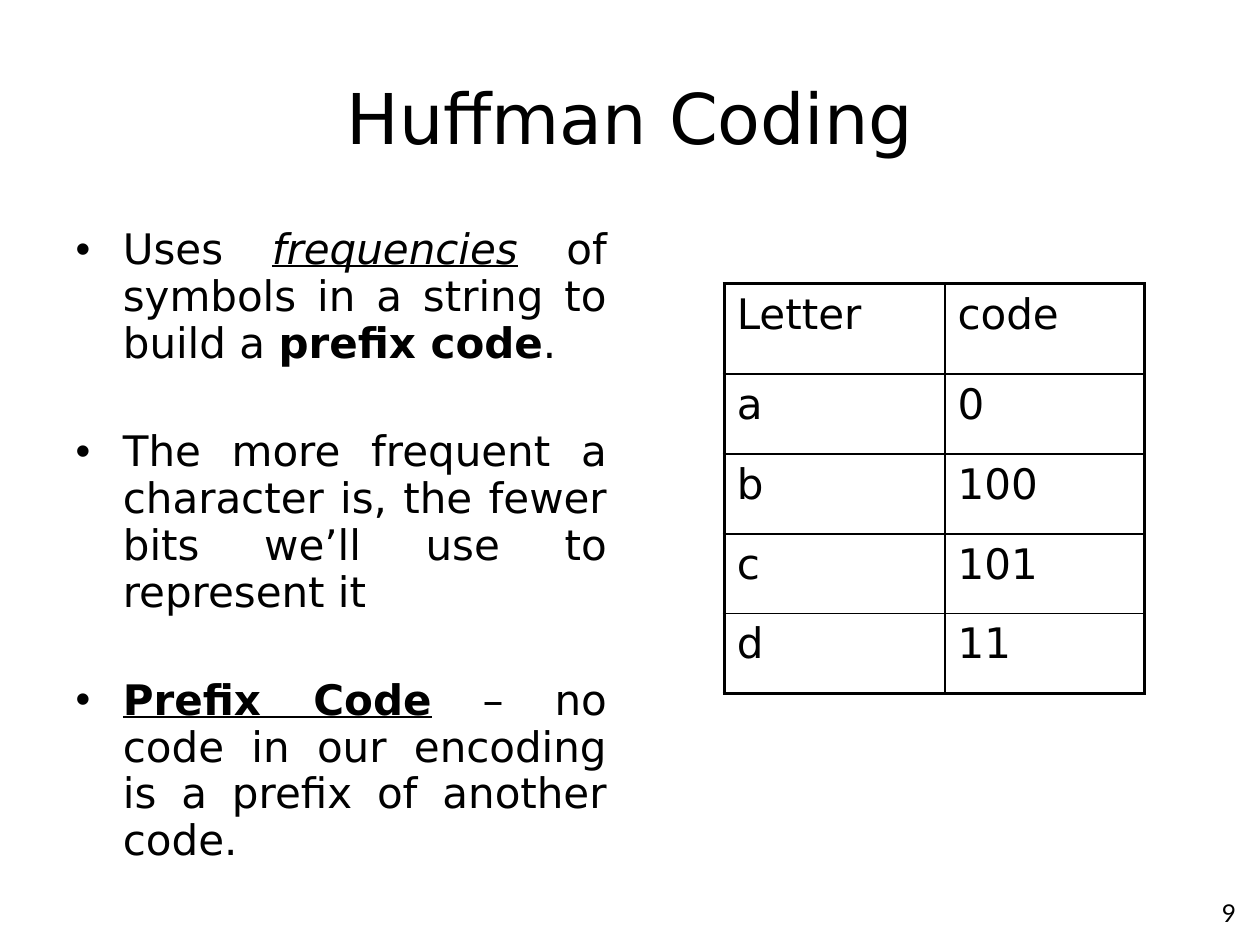
from lxml.etree import SubElement
from pptx import Presentation
from pptx.dml.color import RGBColor
from pptx.enum.text import MSO_ANCHOR, MSO_AUTO_SIZE, PP_ALIGN
from pptx.oxml.ns import qn
from pptx.util import Cm, Pt

BLACK = RGBColor(0, 0, 0)
WHITE = RGBColor(255, 255, 255)
MAIN_FONT = "DejaVu Sans"
NUMBER_FONT = "Lato"
THIN, THICK = Pt(1), Pt(2.25)

# Each point is a list of (text, character format) pieces
POINTS = [
    [("Uses ", {}), ("frequencies", {"italic": True, "underline": True}),
     (" of symbols in a string to build a ", {}),
     ("prefix code", {"bold": True}), (".", {})],
    [("The more frequent a character is, the fewer bits we’ll use to represent it", {})],
    [("Prefix Code", {"bold": True, "underline": True}),
     (" – no code in our encoding is a prefix of another code.", {})],
]
CODES = [("Letter", "code"), ("a", "0"), ("b", "100"), ("c", "101"), ("d", "11")]


def write_text(paragraph, text, size=24, font=MAIN_FONT, align=PP_ALIGN.JUSTIFY,
               bold=False, italic=False, underline=False):
    """Append a formatted run to a paragraph."""
    paragraph.alignment = align
    run = paragraph.add_run()
    run.text = text
    run.font.name = font
    run.font.size = Pt(size)
    run.font.bold = bold
    run.font.italic = italic
    run.font.underline = underline
    run.font.color.rgb = BLACK


def place(shape, left, top, width, height):
    shape.left, shape.top = Cm(left), Cm(top)
    shape.width, shape.height = Cm(width), Cm(height)


def add_title(slide, text):
    title = slide.shapes.title
    place(title, 1.27, 0.76, 22.86, 3.18)
    title.text_frame.vertical_anchor = MSO_ANCHOR.MIDDLE
    write_text(title.text_frame.paragraphs[0], text, size=40, align=PP_ALIGN.CENTER)


def add_points(slide, points):
    body = slide.placeholders[1]
    place(body, 1.27, 4.45, 11.22, 13.76)
    frame = body.text_frame
    frame.auto_size = MSO_AUTO_SIZE.NONE
    for index, pieces in enumerate(points):
        paragraph = frame.add_paragraph() if index else frame.paragraphs[0]
        paragraph.line_spacing = 0.93
        paragraph.space_before = Pt(35 if index else 0)
        for text, style in pieces:
            write_text(paragraph, text, **style)


def set_borders(cell, widths):
    """Draw the cell borders; they must come before the fill in the XML."""
    properties = cell._tc.get_or_add_tcPr()
    for side, width in widths.items():
        line = SubElement(properties, qn(f"a:{side}"), w=str(width))
        fill = SubElement(line, qn("a:solidFill"))
        SubElement(fill, qn("a:srgbClr"), val=str(BLACK))


def add_code_table(slide, rows):
    last_row, last_column = len(rows) - 1, len(rows[0]) - 1
    frame = slide.shapes.add_table(len(rows), len(rows[0]),
                                   Cm(14.6), Cm(5.72), Cm(8.47), Cm(8.26))
    table = frame.table
    table.first_row = table.horz_banding = False
    for column, width in zip(table.columns, (4.45, 4.02)):
        column.width = Cm(width)
    for index, row in enumerate(table.rows):
        row.height = Cm(1.61 if index else 1.82)
    for row, values in enumerate(rows):
        for column, text in enumerate(values):
            cell = table.cell(row, column)
            set_borders(cell, {
                "lnL": THIN if column else THICK,
                "lnR": THICK if column == last_column else THIN,
                "lnT": THIN if row else THICK,
                "lnB": THICK if row == last_row else THIN,
            })
            cell.fill.solid()
            cell.fill.fore_color.rgb = WHITE
            write_text(cell.text_frame.paragraphs[0], text)


def add_page_number(slide, number):
    box = slide.shapes.add_textbox(Cm(19.89), Cm(17.98), Cm(5.28), Cm(0.94))
    box.text_frame.word_wrap = True
    write_text(box.text_frame.paragraphs[0], number, size=14,
               font=NUMBER_FONT, align=PP_ALIGN.RIGHT)


def main():
    presentation = Presentation()
    presentation.slide_width, presentation.slide_height = Cm(25.4), Cm(19.05)
    slide = presentation.slides.add_slide(presentation.slide_layouts[1])
    add_page_number(slide, "9")
    add_title(slide, "Huffman Coding")
    add_points(slide, POINTS)
    add_code_table(slide, CODES)
    presentation.save("out.pptx")


if __name__ == "__main__":
    main()
